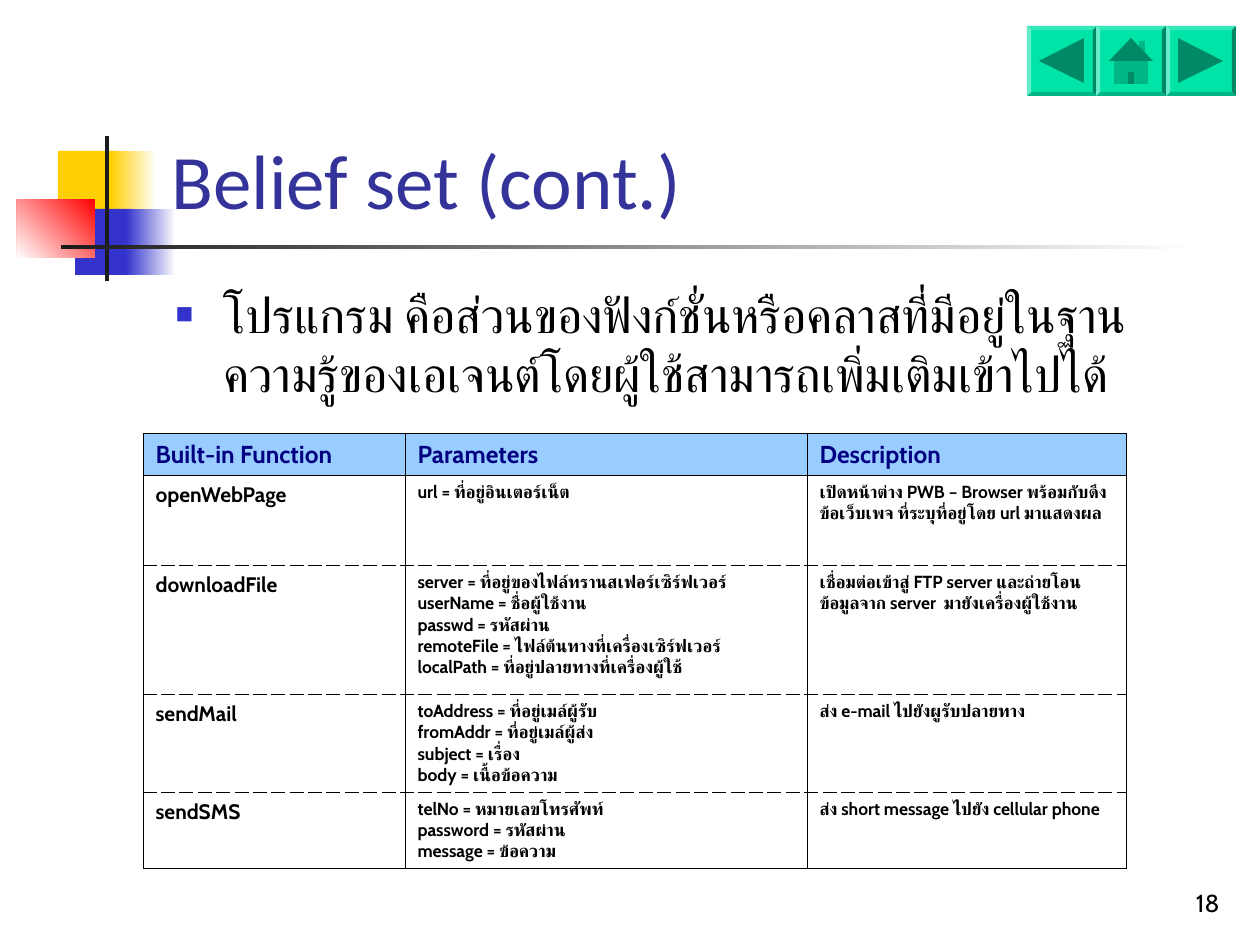
from lxml import etree
from pptx import Presentation
from pptx.dml.color import RGBColor
from pptx.enum.lang import MSO_LANGUAGE_ID
from pptx.enum.shapes import MSO_SHAPE
from pptx.enum.text import MSO_ANCHOR, MSO_AUTO_SIZE, PP_ALIGN
from pptx.oxml.ns import qn
from pptx.util import Emu, Pt

RECTANGLE = MSO_SHAPE.RECTANGLE
BEVEL = MSO_SHAPE.BEVEL
LEFT, RIGHT = PP_ALIGN.LEFT, PP_ALIGN.RIGHT
BOTTOM, TOP = MSO_ANCHOR.BOTTOM, MSO_ANCHOR.TOP
THAI = MSO_LANGUAGE_ID.THAI

EMU_PER_PX = 914400 / 126
FONT = "Cabin"
BLACK, WHITE, CHARCOAL = "000000", "FFFFFF", "1C1C1C"
YELLOW, BLUE, RED = "FFCF01", "3333CC", "FF0000"
BUTTON, ICON_MID, ICON_DARK = "00E4A8", "00B686", "008965"
BUTTON_TOP, BUTTON_SIZE = 26, 70

COLUMN_WIDTHS = [262, 402, 319]
ROW_HEIGHTS = [42, 90, 129, 98, 76]
ROWS = [
    ["Built-in Function", "Parameters", "Description"],
    ["openWebPage", "url = ที่อยู่อินเตอร์เน็ต",
     "เปิดหน้าต่าง PWB – Browser พร้อมกับดึงข้อเว็บเพจ ที่ระบุที่อยู่โดย url มาแสดงผล"],
    ["downloadFile",
     "server = ที่อยู่ของไฟล์ทรานสเฟอร์เซิร์ฟเวอร์\nuserName = ชื่อผู้ใช้งาน\n"
     "passwd = รหัสผ่าน\nremoteFile = ไฟล์ต้นทางที่เครื่องเซิร์ฟเวอร์ \n"
     "localPath = ที่อยู่ปลายทางที่เครื่องผู้ใช้",
     "เชื่อมต่อเข้าสู่ FTP server และถ่ายโอนข้อมูลจาก server  มายังเครื่องผู้ใช้งาน"],
    ["sendMail",
     "toAddress = ที่อยู่เมล์ผู้รับ\nfromAddr = ที่อยู่เมล์ผู้ส่ง\n"
     "subject = เรื่อง\nbody = เนื้อข้อความ",
     "ส่ง e-mail ไปยังผูรับปลายทาง"],
    ["sendSMS",
     "telNo = หมายเลขโทรศัพท์\npassword = รหัสผ่าน\nmessage = ข้อความ",
     "ส่ง short message ไปยัง cellular phone"],
]


def px(value):
    return Emu(round(value * EMU_PER_PX))


def rgb(color):
    return RGBColor.from_string(color)


def place(shape, left, top, width, height):
    shape.left, shape.top = px(left), px(top)
    shape.width, shape.height = px(width), px(height)


def paint(shape, color):
    shape.shadow.inherit = False
    shape.line.fill.background()
    shape.fill.solid()
    shape.fill.fore_color.rgb = rgb(color)


def add_block(slide, box, color, kind=RECTANGLE):
    shape = slide.shapes.add_shape(kind, *map(px, box))
    paint(shape, color)
    return shape


def add_fade(slide, box, color, angle=0):
    """Add a rectangle that fades from the colour to white."""
    shape = add_block(slide, box, color)
    shape.fill.gradient()
    shape.fill.gradient_angle = angle
    for stop, stop_color in zip(shape.fill.gradient_stops, (color, WHITE)):
        stop.color.rgb = rgb(stop_color)


def add_polygon(slide, points, color):
    builder = slide.shapes.build_freeform(*points[0], scale=EMU_PER_PX)
    builder.add_line_segments(points[1:], close=True)
    paint(builder.convert_to_shape(), color)


def write(paragraph, text, size, color, name=FONT, bold=False):
    """Write text into a paragraph, with a line break at each newline."""
    for index, line in enumerate(text.split("\n")):
        if index:
            paragraph.add_line_break()
        run = paragraph.add_run()
        run.text = line
        font = run.font
        font.size, font.name, font.bold = Pt(size), name, bold
        font.color.rgb = rgb(color)
        font.language_id = THAI
        complex_font = etree.SubElement(font._element, qn("a:cs"))
        complex_font.set("typeface", name)


def set_frame(shape, anchor):
    frame = shape.text_frame
    frame.word_wrap = True
    frame.auto_size = MSO_AUTO_SIZE.NONE
    frame.vertical_anchor = anchor
    return frame.paragraphs[0]


def add_square_bullet(paragraph):
    properties = paragraph._p.get_or_add_pPr()
    properties.set("marL", str(px(48)))
    properties.set("indent", str(-px(48)))
    bullet_color = etree.SubElement(properties, qn("a:buClr"))
    etree.SubElement(bullet_color, qn("a:srgbClr")).set("val", BLUE)
    for tag, key, value in (("a:buSzPct", "val", "60000"),
                            ("a:buFont", "typeface", "Arial"),
                            ("a:buChar", "char", "■")):
        etree.SubElement(properties, qn(tag)).set(key, value)


def add_ornament(slide):
    add_block(slide, (58, 151, 60, 66), YELLOW)
    add_fade(slide, (111, 151, 45, 66), YELLOW)
    add_block(slide, (75, 209, 58, 66), BLUE)
    add_fade(slide, (126, 209, 50, 66), BLUE)
    add_fade(slide, (17, 199, 78, 59), RED, angle=225)
    add_block(slide, (105, 136, 4, 145), CHARCOAL)
    add_fade(slide, (61, 245, 1134, 4), CHARCOAL)


def add_navigation(slide):
    for left in (1027, 1166, 1096):
        box = (left, BUTTON_TOP, BUTTON_SIZE, BUTTON_SIZE)
        add_block(slide, box, BUTTON, BEVEL).adjustments[0] = 0.06
    add_polygon(slide, [(1039, 61), (1084, 38), (1084, 83)], ICON_DARK)
    add_polygon(slide, [(1178, 38), (1223, 61), (1178, 83)], ICON_DARK)
    add_block(slide, (1139, 41, 6, 14), ICON_MID)
    add_block(slide, (1114, 60, 34, 24), ICON_MID)
    add_polygon(slide, [(1131, 38), (1153, 61), (1109, 61)], ICON_DARK)
    add_block(slide, (1128, 72, 6, 12), ICON_DARK)


def set_border(cell, side, dash):
    properties = cell._tc.get_or_add_tcPr()
    line = etree.SubElement(properties, qn(f"a:ln{side}"), w=str(Pt(0.45)))
    fill = etree.SubElement(line, qn("a:solidFill"))
    etree.SubElement(fill, qn("a:srgbClr")).set("val", BLACK)
    etree.SubElement(line, qn("a:prstDash")).set("val", dash)


def add_function_table(slide):
    frame = slide.shapes.add_table(
        len(ROWS), len(COLUMN_WIDTHS), px(143), px(433),
        px(sum(COLUMN_WIDTHS)), px(sum(ROW_HEIGHTS)))
    table = frame.table
    table.first_row = table.horz_banding = False
    for column, width in zip(table.columns, COLUMN_WIDTHS):
        column.width = px(width)
    for row, height in zip(table.rows, ROW_HEIGHTS):
        row.height = px(height)
    last_row = len(ROWS) - 1
    for row_index, texts in enumerate(ROWS):
        top_dash = "dash" if row_index > 1 else "solid"
        bottom_dash = "dash" if 0 < row_index < last_row else "solid"
        for column_index, text in enumerate(texts):
            cell = table.cell(row_index, column_index)
            for side, dash in (("L", "solid"), ("R", "solid"),
                               ("T", top_dash), ("B", bottom_dash)):
                set_border(cell, side, dash)
            if row_index == 0:
                cell.fill.solid()
                cell.fill.fore_color.rgb = rgb("99CCFF")
                size, color = 14, "000080"
            else:
                cell.fill.background()
                size, color = (10 if column_index else 12), BLACK
            write(cell.text_frame.paragraphs[0], text, size, color, bold=True)


def main():
    presentation = Presentation()
    presentation.slide_width, presentation.slide_height = px(1260), px(945)
    slide = presentation.slides.add_slide(presentation.slide_layouts[1])
    add_ornament(slide)

    title = slide.shapes.title
    place(title, 159, 29, 1074, 202)
    heading = set_frame(title, BOTTOM)
    heading.alignment = LEFT
    write(heading, "Belief set (cont.)", 44, "333399", "Calibri")

    body = slide.placeholders[1]
    place(body, 163, 278, 1032, 214)
    item = set_frame(body, TOP)
    add_square_bullet(item)
    item.space_before = Pt(0)
    write(item, "โปรแกรม คือส่วนของฟังก์ชั่นหรือคลาสที่มีอยู่ในฐานความรู้ของเอเจนต์"
                "โดยผู้ใช้สามารถเพิ่มเติมเข้าไปได้", 28, BLACK)

    add_navigation(slide)
    add_function_table(slide)

    number_box = slide.shapes.add_textbox(px(970), px(861), px(262), px(63))
    number = set_frame(number_box, BOTTOM)
    number.alignment = RIGHT
    write(number, "18", 14, BLACK)
    presentation.save("out.pptx")


if __name__ == "__main__":
    main()
